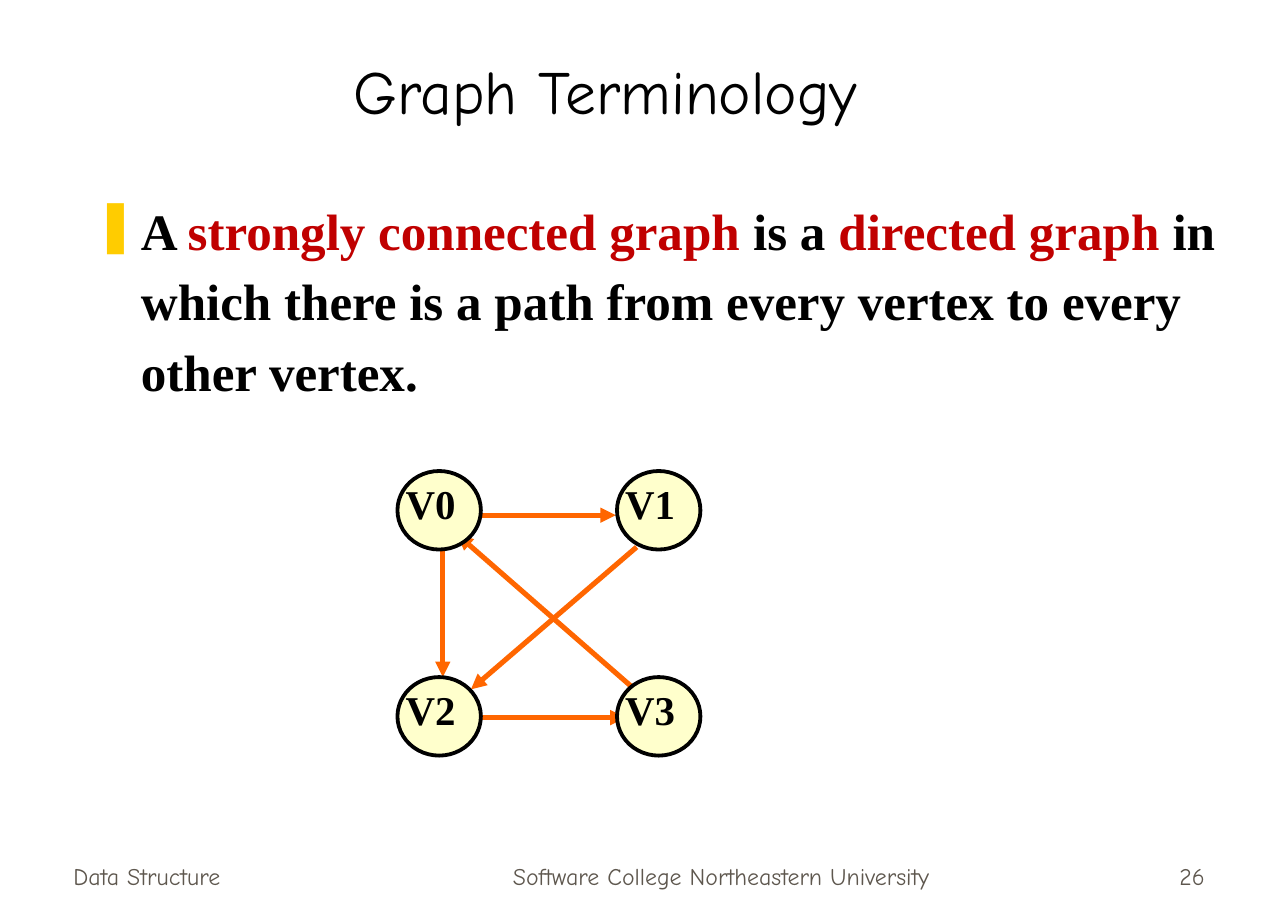
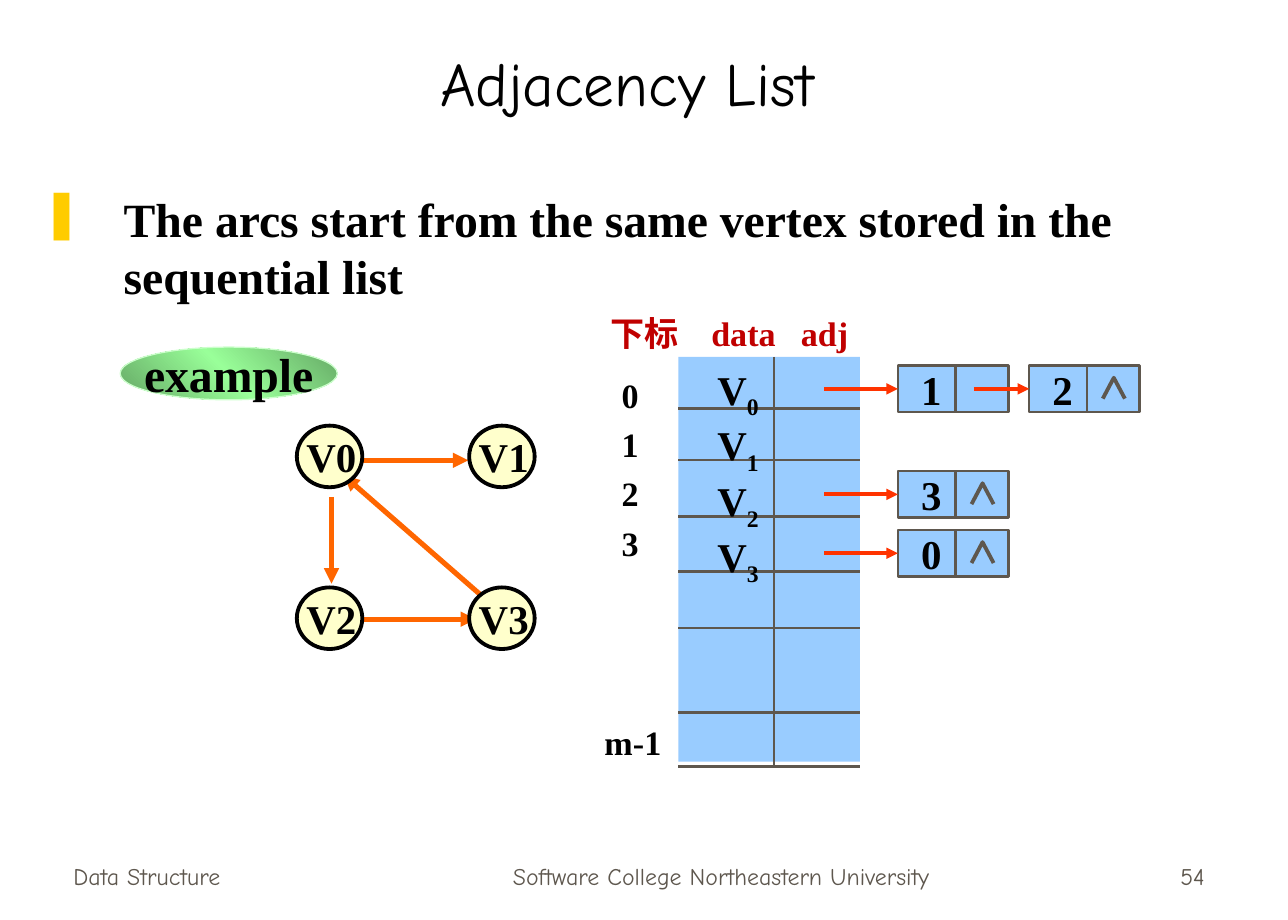
from copy import deepcopy

from lxml.etree import SubElement
from pptx import Presentation
from pptx.dml.color import RGBColor
from pptx.enum.shapes import MSO_CONNECTOR, MSO_SHAPE
from pptx.enum.text import MSO_ANCHOR as Anchor, PP_ALIGN as Align
from pptx.oxml.ns import qn
from pptx.util import Emu, Inches, Pt

SLIDE_WIDTH, SLIDE_HEIGHT = 10.5, 7.5
HEADING_FONT, BODY_FONT = "Comic Neue", "Times New Roman"
BLACK, GREY, RED = "000000", "5E574E", "C00000"
YELLOW, CREAM, BLUE = "FFCC00", "FFFFCC", "99CCFF"
ORANGE, VERMILION = "FF6600", "FF3300"

# Graph geometry at full scale, measured from the top left of node V0
NODE_SIZE = (0.68, 0.64)
NODE_PITCH = (1.79, 1.68)
SHARED_EDGES = [
    ((0.67, 2.01), (1.86, 2.01)),
    ((0.67, 0.36), (1.78, 0.36)),
    ((2.06, 1.89), (0.49, 0.52)),
]

# Vertex table and its linked cells
TABLE_LEFT, TABLE_TOP, TABLE_WIDTH, TABLE_HEIGHT = 5.53, 2.91, 1.48, 3.3
ROW_LINES = [3.33, 3.75, 4.21, 4.66, 5.12, 5.81, 6.25]
CELL_WIDTH, CELL_HEIGHT, CELL_DIVIDER = 0.9, 0.38, 0.47
FIRST_LINK, SECOND_LINK = 7.32, 8.39


def color(hex_string):
    return RGBColor.from_string(hex_string)


def format_runs(paragraph, size, hex_color=BLACK, font=BODY_FONT, bold=True):
    for run in paragraph.runs:
        run.font.size = Pt(size)
        run.font.name = font
        run.font.bold = bold
        run.font.color.rgb = color(hex_color)


def add_label(slide, box, text, size, hex_color=BLACK, font=BODY_FONT, bold=True,
              align=Align.LEFT, anchor=Anchor.TOP, space_after=0):
    """Add a text box with one paragraph per line of text."""
    shape = slide.shapes.add_textbox(*map(Inches, box))
    frame = shape.text_frame
    frame.word_wrap = True
    frame.vertical_anchor = anchor
    frame.text = text
    for paragraph in frame.paragraphs:
        paragraph.alignment = align
        paragraph.space_after = Pt(space_after)
        format_runs(paragraph, size, hex_color, font, bold)
    return shape


def add_frame(slide, title, title_box, number):
    """Add the title and the three footers."""
    add_label(slide, title_box, title, 36, BLACK, HEADING_FONT, False,
              Align.CENTER, Anchor.MIDDLE)
    footers = [
        (0.5, 2.19, "Data Structure", Align.LEFT),
        (3.59, 4.58, "Software College Northeastern University", Align.CENTER),
        (7.73, 2.19, str(number), Align.RIGHT),
    ]
    for left, width, text, align in footers:
        add_label(slide, (left, 6.81, width, 0.5), text, 14, GREY, HEADING_FONT,
                  False, align, Anchor.BOTTOM)


def add_bullet(slide, box, parts, size, indent, line_spacing=1.0):
    """Add a bulleted paragraph from (text, colour) parts."""
    frame = slide.shapes.add_textbox(*map(Inches, box)).text_frame
    frame.word_wrap = True
    paragraph = frame.paragraphs[0]
    paragraph.line_spacing = line_spacing
    properties = paragraph._p.get_or_add_pPr()
    properties.set("marL", str(Inches(indent)))
    properties.set("indent", str(-Inches(indent)))
    bullet_color = SubElement(properties, qn("a:buClr"))
    SubElement(bullet_color, qn("a:srgbClr")).set("val", YELLOW)
    SubElement(properties, qn("a:buChar")).set("char", "❚")
    for text, _ in parts:
        paragraph.add_run().text = text
    format_runs(paragraph, size)
    for run, (_, hex_color) in zip(paragraph.runs, parts):
        run.font.color.rgb = color(hex_color)


def add_line(slide, start, end, hex_color, width, arrow=False):
    line = slide.shapes.add_connector(
        MSO_CONNECTOR.STRAIGHT, *map(Inches, (*start, *end)))
    line.line.color.rgb = color(hex_color)
    line.line.width = Pt(width)
    if arrow:
        SubElement(line.line._get_or_add_ln(), qn("a:tailEnd")).set("type", "triangle")
    SubElement(line._element.spPr, qn("a:effectLst"))
    return line


def add_block(slide, preset, box, fill=None, outline=None, width=0, text="", size=24,
              align=Align.CENTER, insets=(0, 0, 0, 0)):
    """Add a filled shape; insets run left, top, right, bottom."""
    shape = slide.shapes.add_shape(preset, *map(Inches, box))
    shape.shadow.inherit = False
    if fill:
        shape.fill.solid()
        shape.fill.fore_color.rgb = color(fill)
    if outline:
        shape.line.color.rgb = color(outline)
        shape.line.width = Pt(width)
    else:
        shape.line.fill.background()
    if text:
        frame = shape.text_frame
        frame.text = text
        frame.word_wrap = False
        frame.vertical_anchor = Anchor.MIDDLE
        (frame.margin_left, frame.margin_top,
         frame.margin_right, frame.margin_bottom) = map(Inches, insets)
        frame.paragraphs[0].alignment = align
        format_runs(frame.paragraphs[0], size)
    return shape


def add_graph(slide, left, top, scale, edges, insets):
    """Draw edges first, then a two by two grid of nodes over them."""
    def place(point):
        return left + point[0] * scale, top + point[1] * scale

    for start, end in edges:
        add_line(slide, place(start), place(end), ORANGE, 3, arrow=True)
    width, height = (length * scale for length in NODE_SIZE)
    for index in range(4):
        row, column = divmod(index, 2)
        corner = place((column * NODE_PITCH[0], row * NODE_PITCH[1]))
        add_block(slide, MSO_SHAPE.OVAL, (*corner, width, height), CREAM, BLACK, 2.25,
                  f"V{index}", insets=insets)


def add_vertex_table(slide):
    add_block(slide, MSO_SHAPE.RECTANGLE,
              (TABLE_LEFT, TABLE_TOP, TABLE_WIDTH, TABLE_HEIGHT), BLUE)
    for y in ROW_LINES:
        add_line(slide, (TABLE_LEFT, y), (TABLE_LEFT + TABLE_WIDTH, y), GREY, 1.5)
    add_line(slide, (6.31, TABLE_TOP), (6.31, 6.26), GREY, 1.5)

    header = add_label(slide, (4.88, 2.5, 2.45, 0.44), "下标\tdata\tadj", 20, RED)
    properties = header.text_frame.paragraphs[0]._p.get_or_add_pPr()
    tab_list = SubElement(properties, qn("a:tabLst"))
    for position in (0.82, 1.55):
        tab = SubElement(tab_list, qn("a:tab"))
        tab.set("pos", str(Inches(position)))
        tab.set("algn", "l")

    add_label(slide, (4.97, 3, 0.6, 1.7), "0\n1\n2\n3", 20, space_after=5)
    add_label(slide, (4.83, 5.83, 0.87, 0.44), "m-1", 20)

    vertices = add_label(slide, (5.75, 2.92, 0.83, 1.95), "V\nV\nV\nV", 24)
    for index, paragraph in enumerate(vertices.text_frame.paragraphs):
        subscript = paragraph.add_run()
        subscript.text = str(index)
        format_runs(paragraph, 24)
        subscript._r.get_or_add_rPr().set("baseline", "-25000")


def add_link_cell(slide, left, top, text, arrow_start, last):
    """Add a list cell, the arrow into it and, in the last cell, the null mark."""
    cell = add_block(slide, MSO_SHAPE.RECTANGLE, (left, top, CELL_WIDTH, CELL_HEIGHT),
                     BLUE, GREY, 1.5, text, align=Align.LEFT, insets=(0.19, 0, 0, 0))
    divider = left + CELL_DIVIDER
    add_line(slide, (divider, top), (divider, top + CELL_HEIGHT), GREY, 1.5)
    middle = top + CELL_HEIGHT / 2
    arrow = add_line(slide, (arrow_start, middle), (left, middle), VERMILION, 2.25, True)
    arrow.end_connect(cell, 1)
    if last:
        points = [(Inches(left + x), Inches(top + y))
                  for x, y in ((0.6, 0.27), (0.69, 0.1), (0.78, 0.27))]
        builder = slide.shapes.build_freeform(*points[0])
        builder.add_line_segments(points[1:], close=False)
        mark = builder.convert_to_shape(Emu(0), Emu(0))
        mark.shadow.inherit = False
        mark.fill.background()
        mark.line.color.rgb = color(GREY)
        mark.line.width = Pt(2.25)


def add_example_badge(slide):
    badge = add_block(slide, MSO_SHAPE.OVAL, (0.98, 2.83, 1.77, 0.43),
                      outline="CCFFCC", width=0.75, text="example", size=28)
    badge.fill.gradient()
    badge.fill.gradient_angle = 45
    stop_list = badge._element.spPr.find(".//" + qn("a:gsLst"))
    stop_list.append(deepcopy(stop_list[0]))
    shades = [(0, "65A865"), (0.5, "99FF99"), (1, "65A865")]
    for stop, (position, shade) in zip(badge.fill.gradient_stops, shades):
        stop.position = position
        stop.color.rgb = color(shade)


def add_terminology_slide(slide):
    add_frame(slide, "Graph Terminology", (0.47, 0.4, 8.93, 0.67), 26)
    add_bullet(slide, (0.67, 1.5, 9.39, 1.92), [
        ("A ", BLACK),
        ("strongly connected graph ", RED),
        ("is a ", BLACK),
        ("directed graph ", RED),
        ("in which there is a path from every vertex to every other vertex.", BLACK),
    ], 30, 0.38, 1.15)
    edges = SHARED_EDGES + [((0.37, 0.62), (0.37, 1.68)), ((1.95, 0.62), (0.6, 1.78))]
    add_graph(slide, 3.24, 3.84, 1, edges, (0, 0, 0.14, 0.12))


def add_adjacency_slide(slide):
    add_frame(slide, "Adjacency List", (0.42, 0.33, 9.38, 0.67), 54)
    add_bullet(slide, (0.24, 1.5, 10.01, 1.33), [
        ("The arcs start from the same vertex stored in the sequential list", BLACK),
    ], 28, 0.67)
    add_example_badge(slide)
    edges = SHARED_EDGES + [((0.36, 0.74), (0.36, 1.64))]
    add_graph(slide, 2.42, 3.47, 0.785, edges, (0.03, 0, 0, 0))
    add_vertex_table(slide)
    for left, top, text, arrow_start, last in [
        (FIRST_LINK, 2.98, "1", 6.72, False),
        (SECOND_LINK, 2.98, "2", 7.94, True),
        (FIRST_LINK, 3.84, "3", 6.72, True),
        (FIRST_LINK, 4.32, "0", 6.72, True),
    ]:
        add_link_cell(slide, left, top, text, arrow_start, last)


def main():
    presentation = Presentation()
    presentation.slide_width = Inches(SLIDE_WIDTH)
    presentation.slide_height = Inches(SLIDE_HEIGHT)
    for build in (add_terminology_slide, add_adjacency_slide):
        build(presentation.slides.add_slide(presentation.slide_layouts[6]))
    presentation.save("out.pptx")


if __name__ == "__main__":
    main()
